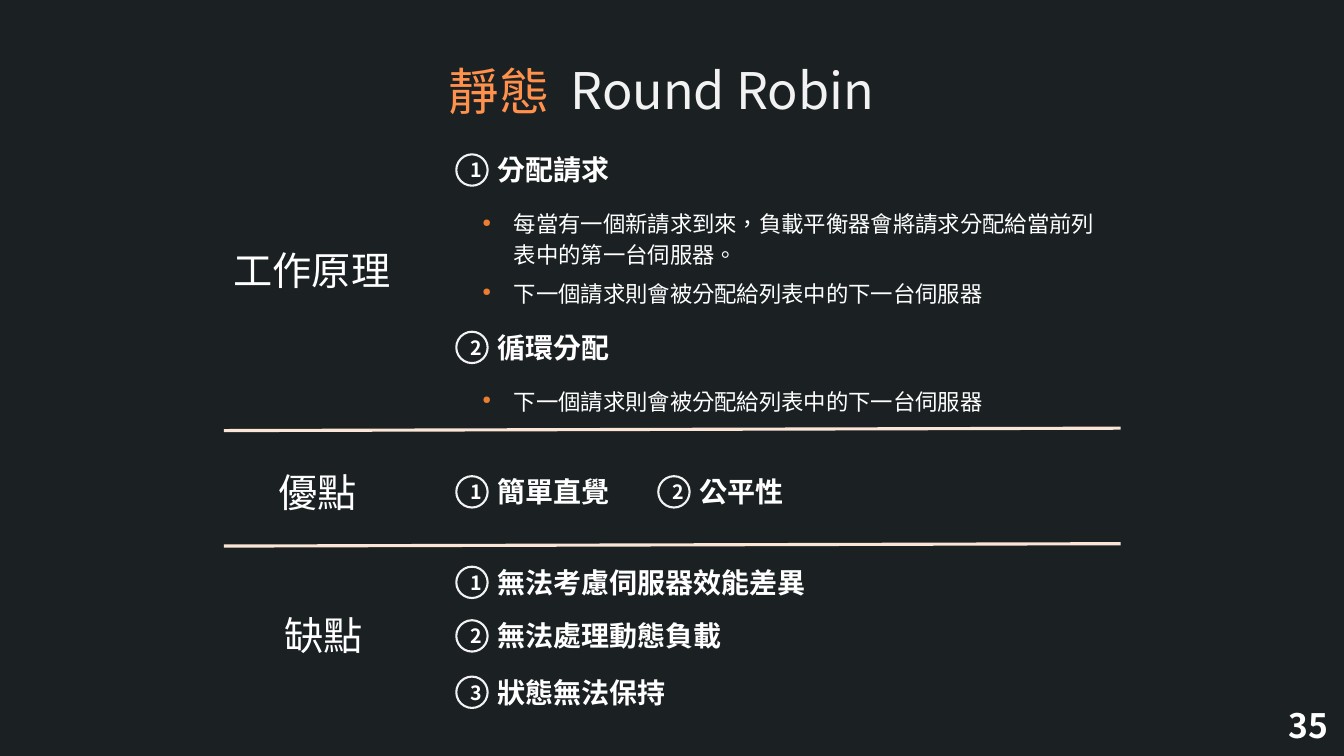
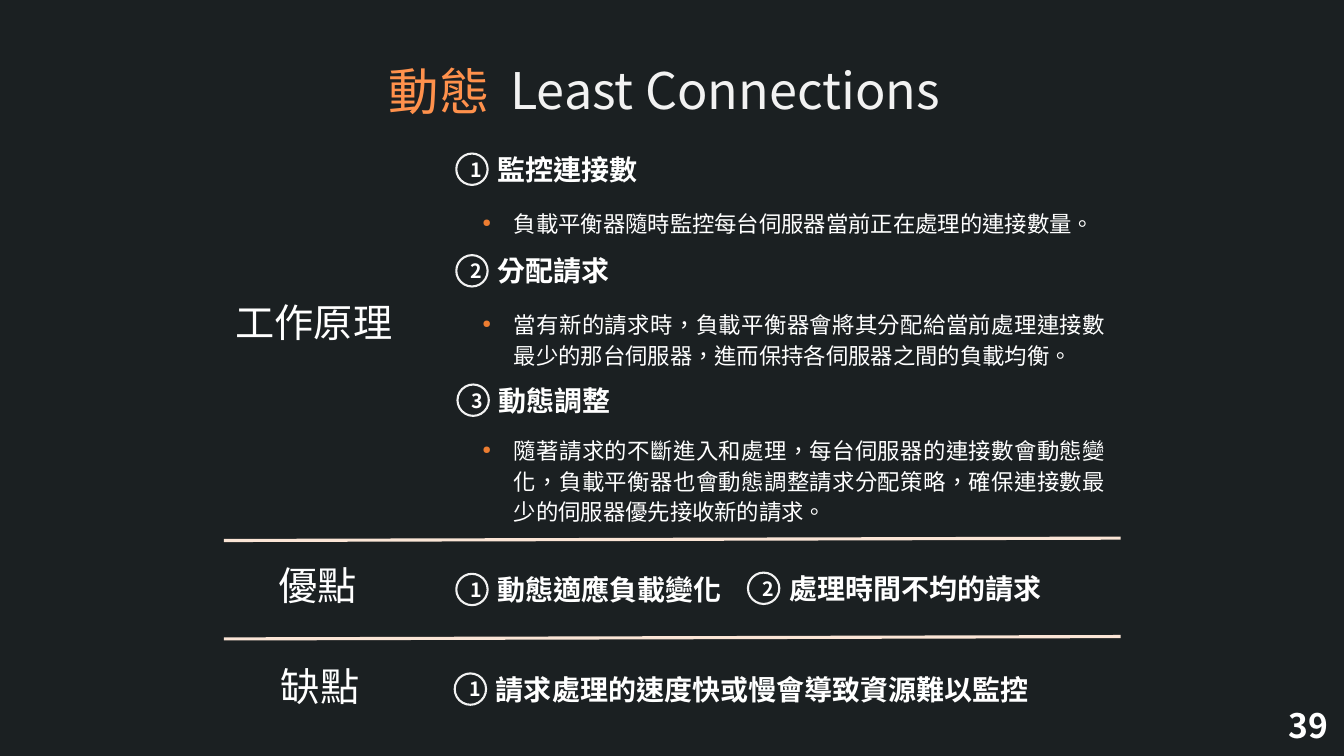
import pptx
import pptx.dml.color
import pptx.enum.shapes
import pptx.enum.text
import pptx.oxml
import pptx.oxml.ns
import pptx.util
import lxml.etree

Cm = pptx.util.Cm
RGBColor = pptx.dml.color.RGBColor
ALIGN = pptx.enum.text.PP_ALIGN
qn = pptx.oxml.ns.qn

BACKGROUND = RGBColor(0x1B, 0x20, 0x22)
WHITE = RGBColor(0xFF, 0xFF, 0xFF)
SOFT_WHITE = RGBColor(0xF2, 0xF2, 0xF2)
ORANGE = RGBColor(0xFF, 0x91, 0x4C)
BULLET_ORANGE = RGBColor(0xED, 0x7D, 0x31)
PEACH = RGBColor(0xFB, 0xE5, 0xD6)
FONT = "Noto Sans CJK SC"


def write_text(paragraph, text, *, size, color=WHITE, bold=False, align=ALIGN.LEFT):
    paragraph.alignment = align
    run = paragraph.add_run()
    run.text = text
    run.font.name = FONT
    run.font.size = pptx.util.Pt(size)
    run.font.bold = bold
    run.font.color.rgb = color
    properties = run.font._element
    properties.set("lang", "zh-TW")
    east_asian = lxml.etree.Element(qn("a:ea"), typeface=FONT)
    properties.find(qn("a:latin")).addnext(east_asian)


class Deck:
    column_left = 11.5
    badge_size = 0.79
    divider_left, divider_right, divider_rise = 5.64, 28.24, 0.06

    def __init__(self):
        self.presentation = pptx.Presentation()
        self.presentation.slide_width = Cm(33.87)
        self.presentation.slide_height = Cm(19.05)
        self.slide = None

    def start_slide(self, number):
        self.slide = self.presentation.slides.add_slide(self.presentation.slide_layouts[6])
        fill = self.slide.background.fill
        fill.solid()
        fill.fore_color.rgb = BACKGROUND
        self.text(str(number), 32.23, 17.63, 1.6, 1.27, size=24, bold=True)

    def box(self, left, top, width, height):
        shape = self.slide.shapes.add_textbox(Cm(left), Cm(top), Cm(width), Cm(height))
        shape.text_frame.word_wrap = True
        return shape.text_frame

    def text(self, text, left, top, width, height, **style):
        frame = self.box(left, top, width, height)
        write_text(frame.paragraphs[0], text, **style)

    def title(self, category, name, left):
        self.text(name, left + 3.31, 1.37, 12, 1.8, size=36, color=SOFT_WHITE)
        self.text(category, left, 1.4, 3.53, 1.8, size=36, color=ORANGE, align=ALIGN.CENTER)

    def label(self, text, left, top):
        self.text(text, left, top, 5.4, 1.45, size=28)

    def divider(self, top):
        connector = self.slide.shapes.add_connector(
            pptx.enum.shapes.MSO_CONNECTOR.STRAIGHT,
            Cm(self.divider_left), Cm(top),
            Cm(self.divider_right), Cm(top - self.divider_rise))
        connector.line.color.rgb = PEACH
        connector.line.width = pptx.util.Pt(2.25)
        lxml.etree.SubElement(connector._element.spPr, qn("a:effectLst"))

    def heading(self, number, text, top, left=column_left):
        self.text(text, left + self.badge_size, top, 0.71 * len(text) + 0.8, 1.12,
                  size=20, bold=True)
        badge = self.slide.shapes.add_shape(
            pptx.enum.shapes.MSO_SHAPE.FLOWCHART_CONNECTOR,
            Cm(left), Cm(top + 0.16), Cm(self.badge_size), Cm(self.badge_size))
        badge.shadow.inherit = False
        badge.fill.background()
        badge.line.color.rgb = SOFT_WHITE
        badge.line.width = pptx.util.Pt(1.5)
        badge.text_frame.vertical_anchor = pptx.enum.text.MSO_ANCHOR.MIDDLE
        write_text(badge.text_frame.paragraphs[0], str(number), size=14, bold=True,
                   align=ALIGN.CENTER)

    def bullets(self, texts, top, lines, align=ALIGN.LEFT):
        frame = self.box(11.91, top, 16.21, 0.2 + 0.78 * lines)
        for index, text in enumerate(texts):
            paragraph = frame.add_paragraph() if index else frame.paragraphs[0]
            write_text(paragraph, text, size=16, align=align)
            paragraph.line_spacing = 1.14
            if index:
                paragraph.space_before = pptx.util.Pt(6)
            properties = paragraph._element.get_or_add_pPr()
            properties.set("marL", str(Cm(0.79)))
            properties.set("indent", str(-Cm(0.79)))
            color = lxml.etree.SubElement(properties, qn("a:buClr"))
            lxml.etree.SubElement(color, qn("a:srgbClr"), val=str(BULLET_ORANGE))
            lxml.etree.SubElement(properties, qn("a:buSzPct"), val="50000")
            lxml.etree.SubElement(properties, qn("a:buChar"), char="●")


def build_round_robin(deck):
    deck.start_slide(35)
    deck.title("靜態", "Round Robin", 10.82)
    deck.label("工作原理", 5.64, 6.07)
    deck.heading(1, "分配請求", 3.73)
    deck.bullets(["每當有一個新請求到來，負載平衡器會將請求分配給當前列表中的第一台伺服器。",
                  "下一個請求則會被分配給列表中的下一台伺服器"], 5.08, 3)
    deck.heading(2, "循環分配", 8.2)
    deck.bullets(["下一個請求則會被分配給列表中的下一台伺服器"], 9.55, 1)
    deck.divider(10.85)
    deck.label("優點", 6.76, 11.68)
    deck.heading(1, "簡單直覺", 11.84)
    deck.heading(2, "公平性", 11.84, left=16.59)
    deck.divider(13.76)
    deck.label("缺點", 6.93, 15.29)
    drawbacks = [("無法考慮伺服器效能差異", 14.12), ("無法處理動態負載", 15.47),
                 ("狀態無法保持", 16.89)]
    for number, (text, top) in enumerate(drawbacks, 1):
        deck.heading(number, text, top)


def build_least_connections(deck):
    deck.start_slide(39)
    deck.title("動態", "Least Connections", 9.3)
    deck.label("工作原理", 5.69, 7.39)
    deck.heading(1, "監控連接數", 3.71)
    deck.bullets(["負載平衡器隨時監控每台伺服器當前正在處理的連接數量。"],
                 5.08, 1, ALIGN.JUSTIFY)
    deck.heading(2, "分配請求", 6.27)
    deck.bullets(["當有新的請求時，負載平衡器會將其分配給當前處理連接數最少的那台伺服器，"
                  "進而保持各伺服器之間的負載均衡。"], 7.62, 2, ALIGN.JUSTIFY)
    deck.heading(3, "動態調整", 9.53, left=11.53)
    deck.bullets(["隨著請求的不斷進入和處理，每台伺服器的連接數會動態變化，"
                  "負載平衡器也會動態調整請求分配策略，確保連接數最少的伺服器優先接收新的請求。"],
                 10.8, 3, ALIGN.JUSTIFY)
    deck.divider(13.62)
    deck.label("優點", 6.76, 14.02)
    deck.heading(1, "動態適應負載變化", 14.3)
    deck.heading(2, "處理時間不均的請求", 14.27, left=18.85)
    deck.divider(16.1)
    deck.label("缺點", 6.83, 16.56)
    deck.heading(1, "請求處理的速度快或慢會導致資源難以監控", 16.81, left=11.46)


def main():
    deck = Deck()
    build_round_robin(deck)
    build_least_connections(deck)
    deck.presentation.save("out.pptx")


if __name__ == "__main__":
    main()
